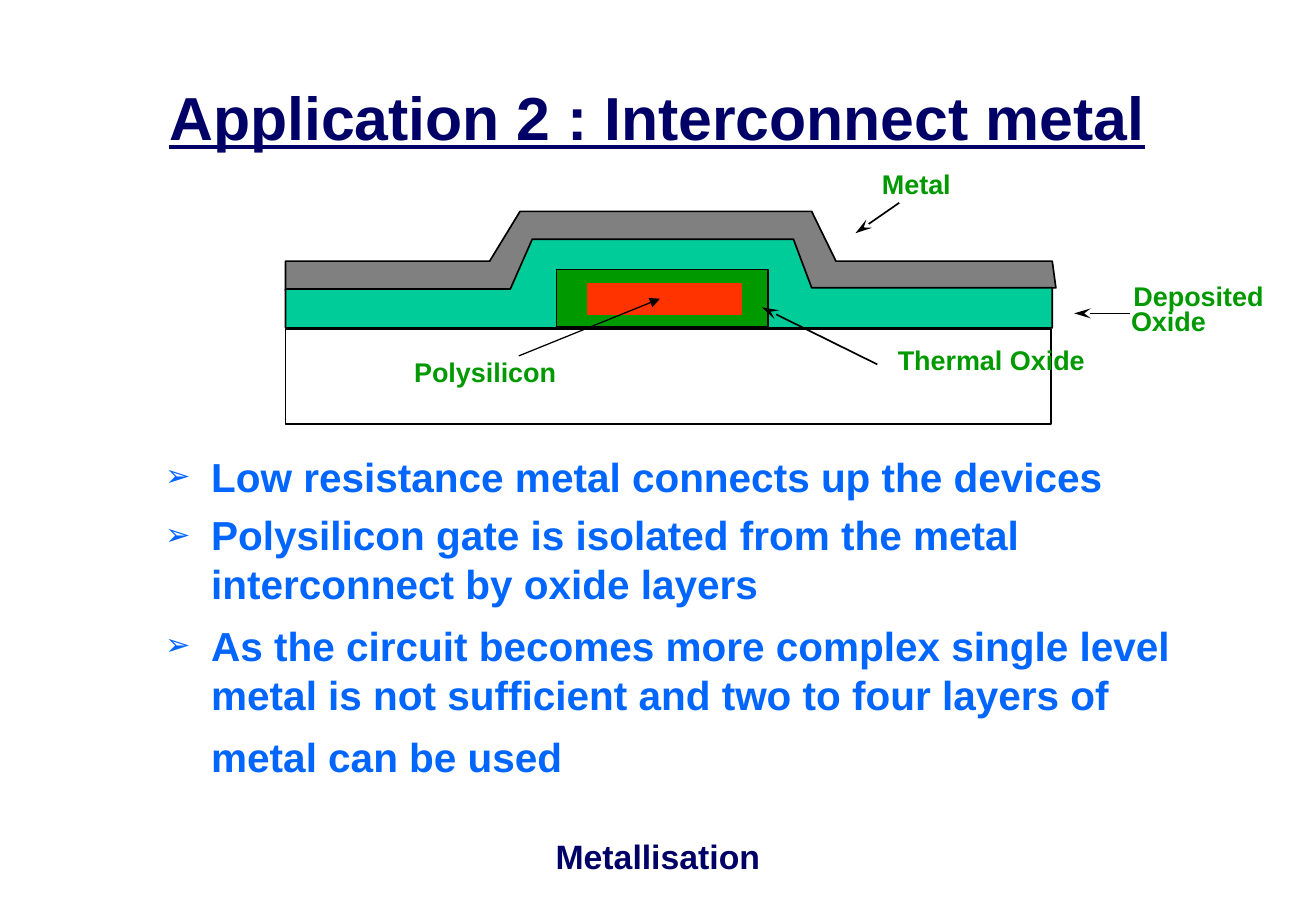
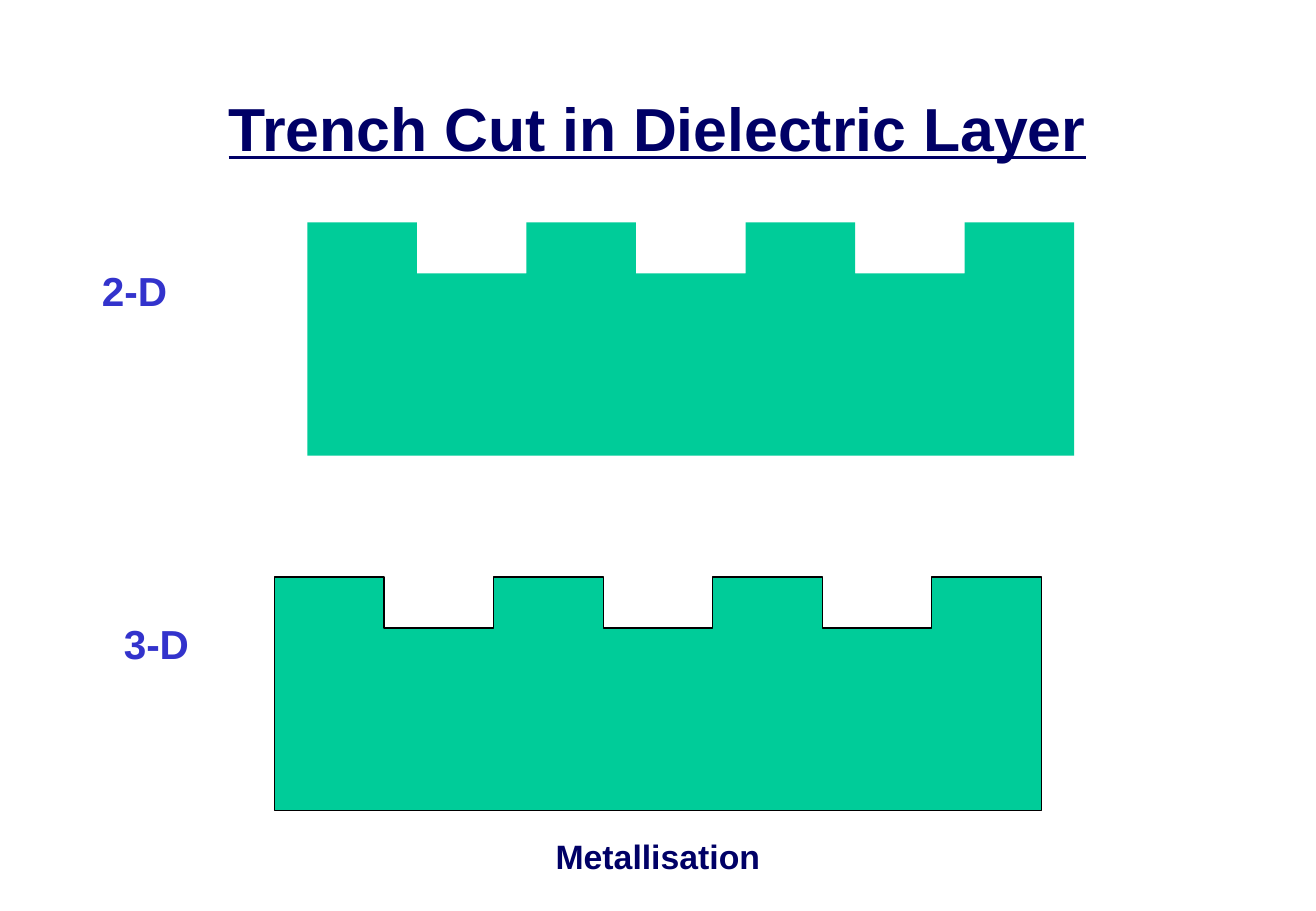
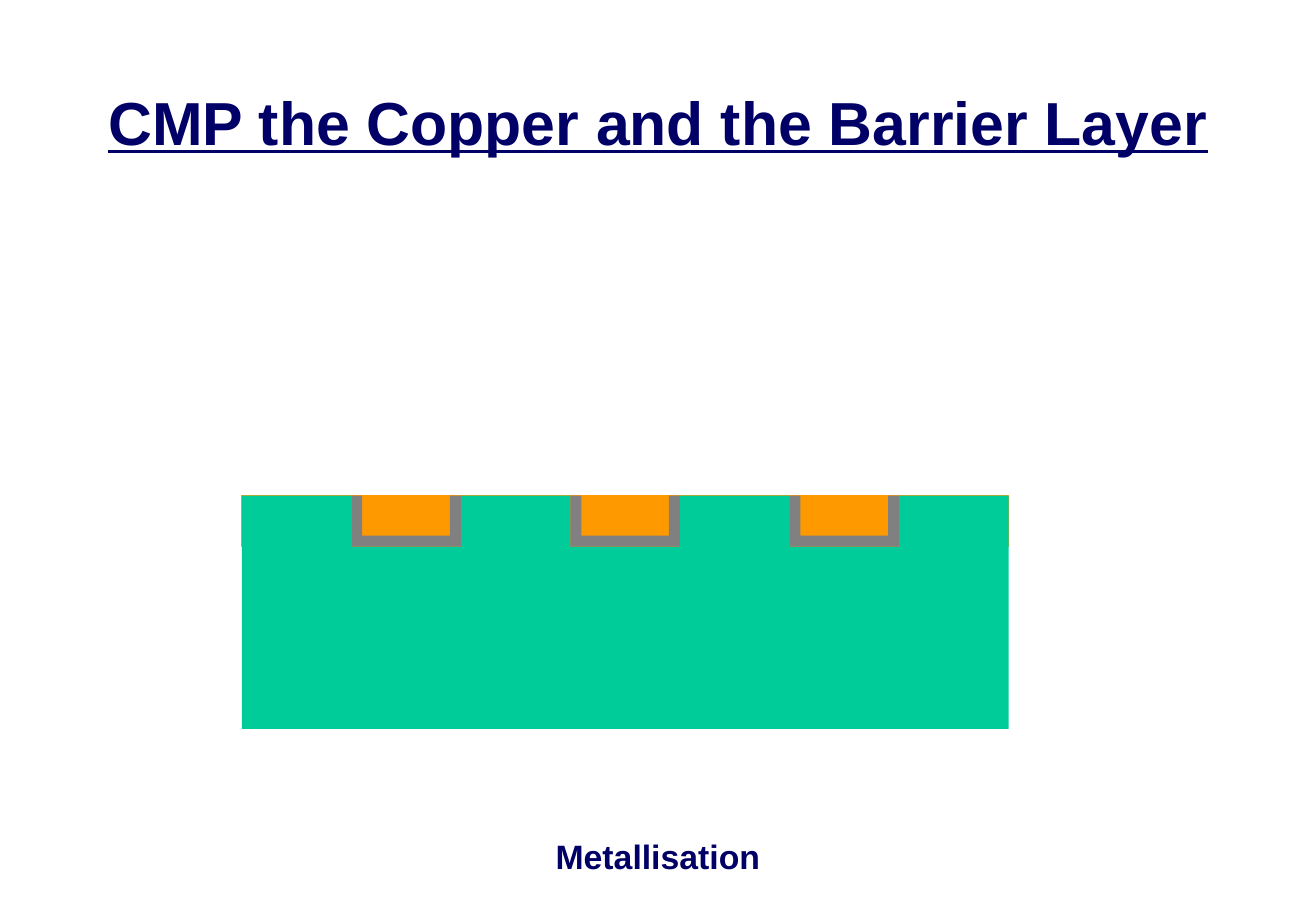
from lxml.etree import SubElement
from pptx import Presentation
from pptx.dml.color import RGBColor
from pptx.enum.shapes import MSO_CONNECTOR, MSO_SHAPE
from pptx.enum.text import MSO_ANCHOR, MSO_AUTO_SIZE, PP_ALIGN
from pptx.oxml.ns import qn
from pptx.util import Inches, Pt

NAVY = "000066"
BLUE = "0066FF"
INDIGO = "3333CC"
BLACK = "000000"
GREY = "808080"
MINT = "00CC99"
GREEN = "009900"
RED = "FF3300"
ORANGE = "FF9900"

TRENCHED_WIDTH, TRENCHED_HEIGHT = 6.31, 1.92
COLUMNS = 7
COLUMN_WIDTH = TRENCHED_WIDTH / COLUMNS
TRENCH_DEPTH = 0.42


def rgb(color):
    return RGBColor.from_string(color)


def add_run(paragraph, text, size=16, color=GREEN, font="Arial", bold=True, underline=False):
    run = paragraph.add_run()
    run.text = text
    run.font.name = font
    run.font.size = Pt(size)
    run.font.bold = bold
    run.font.underline = underline
    run.font.color.rgb = rgb(color)


class Deck:
    def __init__(self):
        self.presentation = Presentation()
        self.presentation.slide_width = Inches(10.83)
        self.presentation.slide_height = Inches(7.5)
        self.slide = None

    def start_slide(self, title, top, left=0.81, width=9.2):
        """Add a slide with the shared footer and title style."""
        self.slide = self.presentation.slides.add_slide(self.presentation.slide_layouts[6])
        self.text("Metallisation", 3.7, 6.83, 3.43, 0.5, size=20, color=NAVY,
                  align=PP_ALIGN.CENTER)
        self.text(title, left, top, width, 1.25, size=36, color=NAVY, underline=True,
                  align=PP_ALIGN.CENTER, anchor=MSO_ANCHOR.MIDDLE)

    def frame(self, left, top, width, height, wrap=True, anchor=MSO_ANCHOR.TOP):
        box = self.slide.shapes.add_textbox(Inches(left), Inches(top),
                                            Inches(width), Inches(height))
        box.text_frame.word_wrap = wrap
        box.text_frame.vertical_anchor = anchor
        if not wrap:
            box.text_frame.auto_size = MSO_AUTO_SIZE.SHAPE_TO_FIT_TEXT
        return box.text_frame

    def text(self, text, left, top, width, height=0.37, wrap=True, align=PP_ALIGN.LEFT,
             anchor=MSO_ANCHOR.TOP, **font):
        paragraph = self.frame(left, top, width, height, wrap, anchor).paragraphs[0]
        paragraph.alignment = align
        add_run(paragraph, text, **font)

    def label(self, text, left, top, width, height=0.37, **font):
        self.text(text, left, top, width, height, wrap=False, **font)

    def bullets(self, items, left, top, width, height):
        """Write (text, space before) pairs and return the last paragraph."""
        frame = self.frame(left, top, width, height)
        for index, (text, space_before) in enumerate(items):
            paragraph = frame.add_paragraph() if index else frame.paragraphs[0]
            properties = paragraph._p.get_or_add_pPr()
            properties.set("marL", str(Inches(0.38)))
            properties.set("indent", str(-Inches(0.38)))
            bullet_color = SubElement(properties, qn("a:buClr"))
            SubElement(bullet_color, qn("a:srgbClr"), val=BLUE)
            SubElement(properties, qn("a:buSzPct"), val="75000")
            SubElement(properties, qn("a:buFont"), typeface="Arial")
            SubElement(properties, qn("a:buChar"), char="➢")
            paragraph.space_before = Pt(space_before)
            add_run(paragraph, text, size=24, color=BLUE)
        return paragraph

    def paint(self, shape, fill, line, line_width):
        shape.shadow.inherit = False
        if fill:
            shape.fill.solid()
            shape.fill.fore_color.rgb = rgb(fill)
        else:
            shape.fill.background()
        if line:
            shape.line.color.rgb = rgb(line)
            shape.line.width = Pt(line_width)
        else:
            shape.line.fill.background()

    def rectangle(self, left, top, width, height, fill=None, line=BLACK, line_width=1):
        shape = self.slide.shapes.add_shape(MSO_SHAPE.RECTANGLE, Inches(left), Inches(top),
                                            Inches(width), Inches(height))
        self.paint(shape, fill, line, line_width)

    def outline(self, points, fill, line=None, line_width=1):
        corners = [(Inches(x), Inches(y)) for x, y in points]
        builder = self.slide.shapes.build_freeform(*corners[0])
        builder.add_line_segments(corners[1:], close=True)
        self.paint(builder.convert_to_shape(), fill, line, line_width)

    def arrow(self, start, end, head="stealth", head_length="lg", line_width=1):
        connector = self.slide.shapes.add_connector(
            MSO_CONNECTOR.STRAIGHT, *[Inches(value) for value in (*start, *end)])
        connector.line.color.rgb = rgb(BLACK)
        connector.line.width = Pt(line_width)
        SubElement(connector.line._get_or_add_ln(), qn("a:tailEnd"), type=head,
                   w="med", len=head_length)
        SubElement(connector._element.spPr, qn("a:effectLst"))

    def trenched_layer(self, left, top, **line):
        """Draw the dielectric, with every second column cut down to a trench."""
        bottom = top + TRENCHED_HEIGHT
        points = [(left, bottom)]
        for column in range(COLUMNS):
            level = top + TRENCH_DEPTH * (column % 2)
            edge = left + column * COLUMN_WIDTH
            points += [(edge, level), (edge + COLUMN_WIDTH, level)]
        points.append((left + TRENCHED_WIDTH, bottom))
        self.outline(points, MINT, **line)

    def barrier(self, left, top, wall=0.09):
        """Draw the U-shaped lining of one trench."""
        right, bottom = left + COLUMN_WIDTH, top + TRENCH_DEPTH
        self.outline([(left, top), (left, bottom), (right, bottom), (right, top),
                      (right - wall, top), (right - wall, bottom - wall),
                      (left + wall, bottom - wall), (left + wall, top)], GREY)


def interconnect_slide(deck):
    deck.start_slide("Application 2 : Interconnect metal", 0.33)
    last_paragraph = deck.bullets([
        ("Low resistance metal connects up the devices", 0),
        ("Polysilicon gate is isolated from the metal interconnect by oxide layers", 6),
        ("As the circuit becomes more complex single level metal is not sufficient "
         "and two to four layers of metal can be used", 8),
    ], 1.26, 3.67, 8.48, 3.33)
    add_run(last_paragraph, " ", size=32, color=BLUE, font="Times New Roman", bold=False)

    deck.label("Metal", 7.16, 1.33, 0.77)
    metal = [(2.35, 2.39), (2.35, 2.15), (4.03, 2.15), (4.28, 1.74), (6.68, 1.74),
             (6.88, 2.15), (8.66, 2.15), (8.69, 2.37)]
    deposited_oxide = [(2.35, 2.7), (2.35, 2.38), (4.2, 2.38), (4.38, 1.97), (6.53, 1.97),
                       (6.68, 2.37), (8.66, 2.37), (8.66, 2.7)]
    deck.outline(metal, GREY, BLACK)
    deck.outline(deposited_oxide, MINT, BLACK)
    deck.rectangle(2.35, 2.71, 6.3, 0.78)
    deck.rectangle(4.58, 2.22, 1.74, 0.47, GREEN)
    deck.rectangle(4.84, 2.34, 1.26, 0.25, RED, RED)

    deck.label("Deposited", 9.23, 2.25, 1.27)
    deck.label("Oxide", 9.21, 2.46, 0.82)
    deck.label("Thermal Oxide", 7.29, 2.78, 1.74)
    deck.label("Polysilicon", 3.31, 2.88, 1.37)
    deck.arrow((7.22, 3), (6.27, 2.53))
    deck.arrow((9.3, 2.58), (8.84, 2.58))
    deck.arrow((7.4, 1.67), (7.04, 1.92))
    deck.arrow((4.27, 2.93), (5.43, 2.46), head="triangle", head_length="med",
               line_width=0.75)


def trench_slide(deck):
    deck.start_slide("Trench Cut in Dielectric Layer", 0.42)
    deck.trenched_layer(2.53, 1.83)
    deck.trenched_layer(2.26, 4.75, line=BLACK, line_width=0.75)
    deck.label("2-D", 0.74, 2.14, 0.75, 0.5, size=24, color=INDIGO)
    deck.label("3-D", 0.92, 5.05, 0.75, 0.5, size=24, color=INDIGO)


def polish_slide(deck):
    deck.start_slide("CMP the Copper and the Barrier Layer", 0.37, left=0.45, width=9.93)
    left, top = 1.99, 4.08
    deck.rectangle(left, top, TRENCHED_WIDTH, TRENCH_DEPTH, ORANGE, ORANGE)
    deck.trenched_layer(left, top)
    for column in range(1, COLUMNS, 2):
        deck.barrier(left + column * COLUMN_WIDTH, top)


def main():
    deck = Deck()
    interconnect_slide(deck)
    trench_slide(deck)
    polish_slide(deck)
    deck.presentation.save("out.pptx")


if __name__ == "__main__":
    main()
